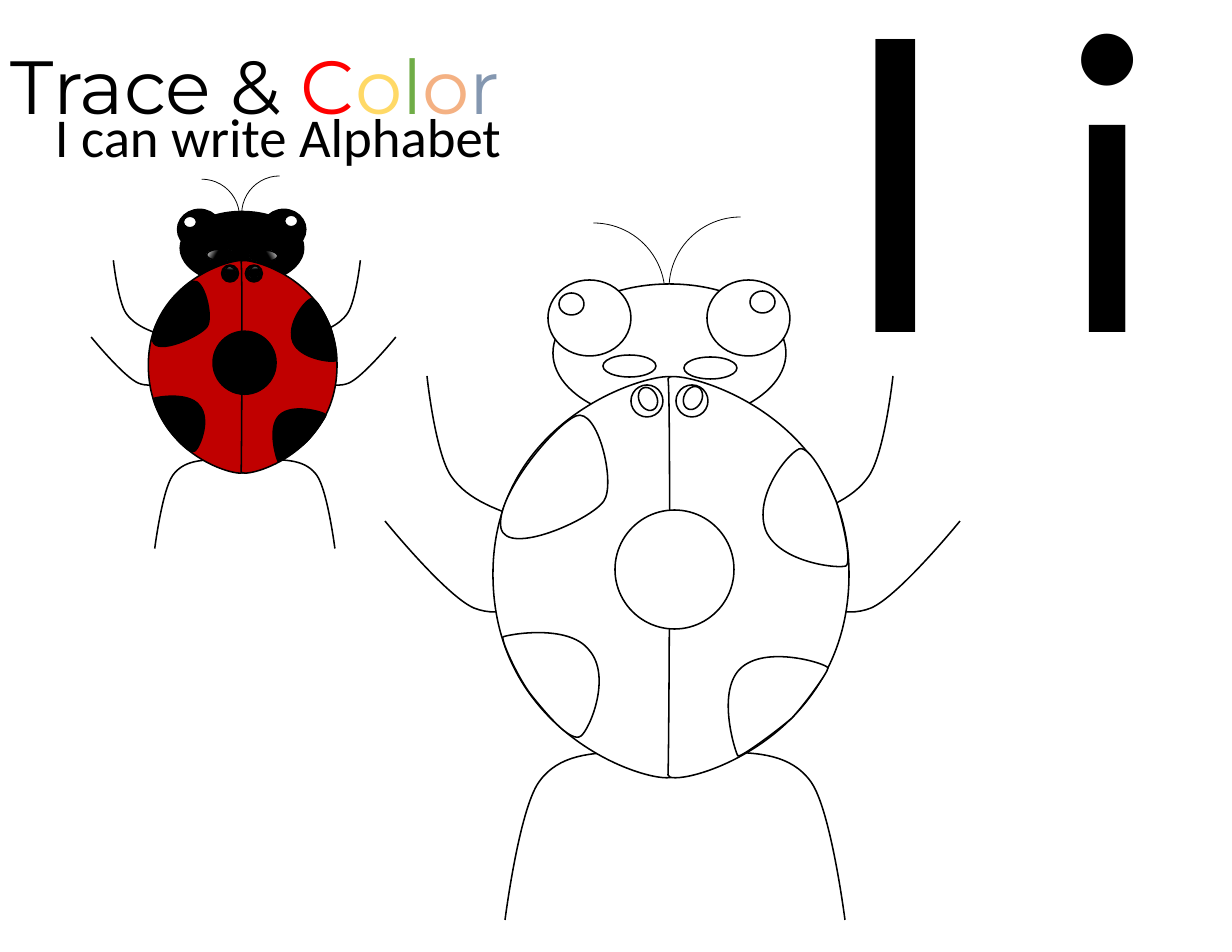
"""Build a letter I worksheet with a coloured ladybug and a larger outlined one to colour in."""
from dataclasses import dataclass
from typing import NamedTuple

from lxml.etree import SubElement
from pptx import Presentation
from pptx.dml.color import RGBColor
from pptx.enum.shapes import MSO_SHAPE
from pptx.enum.text import MSO_AUTO_SIZE
from pptx.oxml.ns import qn
from pptx.util import Pt

EMU_PER_PX = 914400 / 112


@dataclass(frozen=True)
class Theme:
    black: str = "000000"
    white: str = "FFFFFF"
    wing: str = "C00000"
    red: str = "FF0000"
    yellow: str = "FFD966"
    green: str = "70AD47"
    orange: str = "F4B183"
    slate: str = "8497B0"
    title_size: float = 48.4
    letter_size: float = 262.9
    subtitle_size: float = 35.2
    outline: float = 1
    thin_outline: float = 0.5


THEME = Theme()


class Point(NamedTuple):
    x: int
    y: int


class Caption(NamedTuple):
    box: tuple[int, int, int, int]
    font: str
    size: float
    runs: list[tuple[str, str]]
    indent: int = 11


class Curve(NamedTuple):
    points: list[tuple[int, int]]
    role: str = "leg"


class Oval(NamedTuple):
    box: tuple[int, int, int, int]
    role: str
    rotation: float = 0
    gradient_angle: int = 210
    preset: MSO_SHAPE = MSO_SHAPE.OVAL


@dataclass(frozen=True)
class Ladybug:
    shift_x: int
    shift_y: int
    scale: float
    fills: dict[str, str]

    def length(self, px: float) -> int:
        """Turn a drawing length into EMU."""
        return round(px * self.scale * EMU_PER_PX)

    def place(self, x: int, y: int) -> Point:
        """Turn a drawing position into slide EMU."""
        return Point(self.length(x + self.shift_x), self.length(y + self.shift_y))


def mirrored(curve: Curve, axis_sum: int) -> Curve:
    """Reflect a curve left to right."""
    return Curve([(axis_sum - x, y) for x, y in curve.points], curve.role)


HIND_LEG = Curve([(625, 752), (592, 753), (559, 754), (539, 782), (519, 810), (505, 920), (505, 920)])
MIDDLE_LEG = Curve([(552, 590), (528, 605), (502, 619), (474, 608), (446, 596), (385, 521), (385, 521)])
FRONT_LEG = Curve([(530, 521), (500, 511), (468, 501), (451, 476), (435, 452), (427, 376), (427, 376)])
WING = Curve([(493, 577), (491, 404), (678, 366), (674, 379), (671, 391), (673, 762), (674, 775),
              (675, 790), (495, 749), (493, 577)], "wing")
SPOTS = [
    Curve([(740, 669), (765, 644), (828, 664), (828, 668), (828, 672), (806, 703), (792, 718),
           (776, 732), (740, 758), (738, 756), (736, 754), (716, 693), (740, 669)], "dark"),
    Curve([(589, 650), (612, 676), (590, 729), (581, 736), (571, 744), (545, 712), (532, 696),
           (519, 680), (501, 641), (503, 637), (506, 635), (568, 623), (589, 650)], "dark"),
    Curve([(766, 531), (753, 498), (786, 455), (799, 449), (810, 445), (828, 482), (836, 501),
           (843, 521), (852, 562), (846, 566), (839, 569), (780, 563), (766, 531)], "dark"),
    Curve([(604, 501), (591, 520), (507, 557), (501, 528), (495, 497), (553, 426), (576, 416),
           (598, 407), (616, 483), (604, 501)], "dark"),
]
PARTS = [
    HIND_LEG, mirrored(HIND_LEG, 1350),
    MIDDLE_LEG, mirrored(MIDDLE_LEG, 1345),
    FRONT_LEG, mirrored(FRONT_LEG, 1320),
    Oval((669, 217, 143, 143), "antenna", rotation=270, preset=MSO_SHAPE.ARC),
    Oval((522, 223, 143, 143), "antenna", preset=MSO_SHAPE.ARC),
    Oval((553, 284, 233, 138), "dark"),
    WING, mirrored(WING, 1342),
    Oval((615, 510, 119, 119), "dark"),
    Oval((707, 280, 83, 76), "dark"),
    Oval((548, 280, 83, 76), "dark"),
    Oval((631, 385, 32, 32), "dark"),
    Oval((676, 385, 32, 32), "dark"),
    Oval((684, 357, 53, 22), "shine"),
    Oval((603, 355, 53, 22), "shine", gradient_angle=330),
    Oval((750, 291, 25, 22), "glint"),
    Oval((559, 293, 25, 22), "glint"),
    *SPOTS,
    Oval((681, 389, 24, 18), "shine", rotation=295.3),
    Oval((636, 390, 24, 18), "shine", rotation=64.7, gradient_angle=330),
]
LADYBUGS = [
    Ladybug(-213, 115, 0.53, {"wing": THEME.wing, "dark": THEME.black, "glint": THEME.white}),
    Ladybug(0, 0, 1, dict.fromkeys(("wing", "dark", "glint", "shine"), THEME.white)),
]
CAPTIONS = [
    Caption((0, 34, 617, 103), "Montserrat", THEME.title_size,
            [("Trace & ", THEME.black), ("C", THEME.red), ("o", THEME.yellow), ("l", THEME.green),
             ("o", THEME.orange), ("r", THEME.slate)]),
    Caption((724, -82, 485, 507), "Lato", THEME.letter_size, [("I i", THEME.black)], indent=115),
    Caption((44, 97, 485, 77), "Calibri", THEME.subtitle_size, [("I can write Alphabet", THEME.black)]),
]


def emu(px: int) -> int:
    """Turn slide px into EMU."""
    return round(px * EMU_PER_PX)


def add_caption(slide, caption: Caption) -> None:
    """Add one line of coloured text."""
    text_frame = slide.shapes.add_textbox(*map(emu, caption.box)).text_frame
    text_frame.word_wrap = True
    text_frame.auto_size = MSO_AUTO_SIZE.SHAPE_TO_FIT_TEXT
    text_frame.margin_left = emu(caption.indent)
    for text, color in caption.runs:
        run = text_frame.paragraphs[0].add_run()
        run.text = text
        run.font.name = caption.font
        run.font.size = Pt(caption.size)
        run.font.color.rgb = RGBColor.from_string(color)


def add_curve(slide, curve: Curve, ladybug: Ladybug):
    """Add a freeform and turn each three of its segments into one cubic curve."""
    start, *controls = [ladybug.place(*point) for point in curve.points]
    builder = slide.shapes.build_freeform(*start)
    builder.add_line_segments(controls, close=curve.role != "leg")
    shape = builder.convert_to_shape()
    outline = next(shape._element.iter(qn("a:path")))
    segments = outline.findall(qn("a:lnTo"))
    for first in range(0, len(segments), 3):
        cubic = SubElement(outline, qn("a:cubicBezTo"))
        segments[first].addprevious(cubic)
        for segment in segments[first:first + 3]:
            cubic.append(segment[0])
            outline.remove(segment)
    return shape


def add_oval(slide, oval: Oval, ladybug: Ladybug):
    """Add an ellipse or an arc."""
    left, top, width, height = oval.box
    size = (ladybug.length(width), ladybug.length(height))
    shape = slide.shapes.add_shape(oval.preset, *ladybug.place(left, top), *size)
    shape.rotation = oval.rotation
    return shape


def style_part(shape, part: Curve | Oval, ladybug: Ladybug) -> None:
    """Give a part its fill and outline."""
    shape.shadow.inherit = False
    shape.line.color.rgb = RGBColor.from_string(THEME.black)
    shape.line.width = Pt(THEME.thin_outline if part.role == "antenna" else THEME.outline)
    if part.role in ladybug.fills:
        shape.fill.solid()
        shape.fill.fore_color.rgb = RGBColor.from_string(ladybug.fills[part.role])
    elif part.role == "shine":
        shape.fill.gradient()
        shape.fill.gradient_angle = part.gradient_angle
        for stop, position, color in zip(shape.fill.gradient_stops, (0, 0.38), (THEME.white, THEME.black)):
            stop.position = position
            stop.color.rgb = RGBColor.from_string(color)
    else:
        shape.fill.background()


def main() -> None:
    """Build and save the worksheet."""
    presentation = Presentation()
    presentation.slide_width, presentation.slide_height = emu(1232), emu(952)
    slide = presentation.slides.add_slide(presentation.slide_layouts[6])
    for caption in CAPTIONS:
        add_caption(slide, caption)
    for ladybug in LADYBUGS:
        for part in PARTS:
            add_part = add_curve if isinstance(part, Curve) else add_oval
            style_part(add_part(slide, part, ladybug), part, ladybug)
    presentation.save("out.pptx")


if __name__ == "__main__":
    main()
